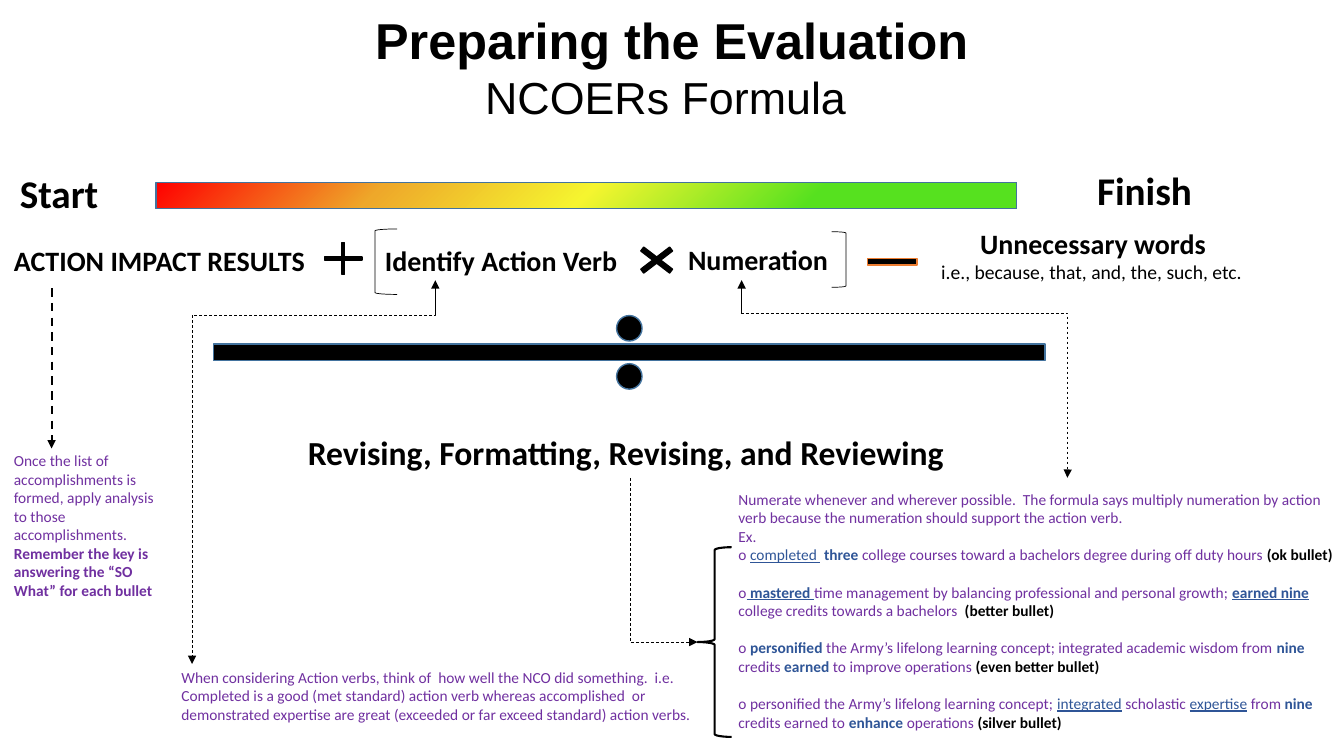
from collections import namedtuple

from lxml import etree
from pptx import Presentation
from pptx.dml.color import RGBColor
from pptx.enum import dml, shapes, text
from pptx.oxml import parse_xml
from pptx.oxml.ns import nsdecls, qn
from pptx.util import Cm, Pt

BLACK = RGBColor(0x00, 0x00, 0x00)
PURPLE = RGBColor(0x70, 0x30, 0xA0)
BLUE = RGBColor(0x2F, 0x55, 0x97)
STEEL = RGBColor(0x43, 0x73, 0x9E)
ORANGE = RGBColor(0xED, 0x7D, 0x31)
GREEN = RGBColor(0x56, 0xE1, 0x1F)
YELLOW = RGBColor(0xF5, 0xF5, 0x2F)
AMBER = RGBColor(0xEE, 0xA8, 0x2A)
RED = RGBColor(0xFF, 0x00, 0x00)

Box = namedtuple("Box", "left top width height")
Style = namedtuple("Style", "size color bold underline font", defaults=(BLACK, False, False, "Calibri"))

TERM = Style(20, bold=True)
MILESTONE = Style(28, bold=True)
NOTE = Style(11, PURPLE)
KEY = Style(11, PURPLE, True)
STRONG = Style(11, BLUE, True)
LINKED = Style(11, BLUE, underline=True)
STRONG_LINKED = Style(11, BLUE, True, True)
RATING = Style(11, bold=True)

CENTER = text.PP_ALIGN.CENTER
LEFT = text.PP_ALIGN.LEFT
PRESET = shapes.MSO_SHAPE

EXAMPLES = [
    [("o ", NOTE), ("completed ", LINKED), (" three ", STRONG),
     ("college courses toward a bachelors degree during off duty hours ", NOTE), ("(ok bullet)", RATING)],
    [("o", NOTE), (" mastered ", STRONG_LINKED),
     ("time management by balancing professional and personal growth; ", NOTE),
     ("earned nine ", STRONG_LINKED), ("college credits towards a bachelors  ", NOTE),
     ("(better bullet)", RATING)],
    [("o ", NOTE), ("personified", STRONG),
     (" the Army’s lifelong learning concept; integrated academic wisdom from ", NOTE),
     ("nine", STRONG), (" credits ", NOTE), ("earned", STRONG),
     (" to improve operations ", NOTE), ("(even better bullet)", RATING)],
    [("o personified the Army’s lifelong learning concept; ", NOTE), ("integrated", LINKED),
     (" scholastic ", NOTE), ("expertise", LINKED), (" from ", NOTE), ("nine ", STRONG),
     ("credits earned to ", NOTE), ("enhance", STRONG), (" operations ", NOTE),
     ("(silver bullet)", RATING)],
]


def inside(box, left, top, width, height):
    return Box(box.left + left, box.top + top, width, height)


def lengths(box):
    return [Cm(value) for value in box]


def add_text(slide, box, paragraphs, align=LEFT):
    frame = slide.shapes.add_textbox(*lengths(box)).text_frame
    frame.word_wrap = True
    frame.auto_size = text.MSO_AUTO_SIZE.SHAPE_TO_FIT_TEXT
    for index, runs in enumerate(paragraphs):
        paragraph = frame.add_paragraph() if index else frame.paragraphs[0]
        paragraph.alignment = align
        for words, style in runs:
            run = paragraph.add_run()
            run.text = words
            run.font.name = style.font
            run.font.size = Pt(style.size)
            run.font.bold = style.bold
            run.font.underline = style.underline
            run.font.color.rgb = style.color
    return frame


def add_preset(slide, box, preset, fill=BLACK, line=BLACK, weight=1, adjustments=()):
    shape = slide.shapes.add_shape(preset, *lengths(box))
    shape.shadow.inherit = False
    if fill is None:
        shape.fill.background()
    else:
        shape.fill.solid()
        shape.fill.fore_color.rgb = fill
    shape.line.color.rgb = line
    shape.line.width = Pt(weight)
    for index, value in enumerate(adjustments):
        shape.adjustments[index] = value
    return shape


def add_arrow(slide, box, kind=shapes.MSO_CONNECTOR.STRAIGHT, weight=0.5, dashed=True):
    left, top, width, height = lengths(box)
    connector = slide.shapes.add_connector(kind, left, top, left + width, top + height)
    connector.line.color.rgb = BLACK
    connector.line.width = Pt(weight)
    if dashed:
        connector.line.dash_style = dml.MSO_LINE.DASH
    properties = connector.line._get_or_add_ln()
    etree.SubElement(properties, qn("a:tailEnd"), type="triangle")
    etree.SubElement(connector._element.spPr, qn("a:effectLst"))
    return connector


def add_elbow(slide, box, preset, adjustment=None, **transform):
    connector = add_arrow(slide, box, shapes.MSO_CONNECTOR.ELBOW)
    properties = connector._element.spPr
    for name, value in transform.items():
        properties.find(qn("a:xfrm")).set(name, value)
    geometry = properties.find(qn("a:prstGeom"))
    geometry.set("prst", preset)
    if adjustment is not None:
        guides = geometry.find(qn("a:avLst"))
        if guides is None:
            guides = etree.SubElement(geometry, qn("a:avLst"))
        etree.SubElement(guides, qn("a:gd"), name="adj1", fmla=f"val {adjustment}")


def fill_radial(shape, stops):
    marks = "".join(
        f'<a:gs pos="{percent * 1000}"><a:srgbClr val="{color}"/></a:gs>' for percent, color in stops
    )
    gradient = parse_xml(
        f'<a:gradFill {nsdecls("a")} rotWithShape="1"><a:gsLst>{marks}</a:gsLst>'
        '<a:path path="circle"><a:fillToRect l="100000" t="100000"/></a:path>'
        '<a:tileRect r="-100000" b="-100000"/></a:gradFill>'
    )
    properties = shape._element.spPr
    properties.replace(properties.find(qn("a:solidFill")), gradient)


def add_header(slide, box):
    add_text(slide, box, [
        [("Preparing the Evaluation", Style(36, bold=True, font="Arial"))],
        [("NCOERs Formula ", Style(32, font="Arial"))],
    ], CENTER)


def add_progress(slide, box):
    add_text(slide, inside(box, 0, 0.08, 3.28, 1.45), [[("Start", MILESTONE)]])
    bar = add_preset(slide, inside(box, 3.68, 0.54, 21.69, 0.66), PRESET.RECTANGLE, line=STEEL)
    fill_radial(bar, [(24, GREEN), (50, YELLOW), (74, AMBER), (100, RED)])
    add_text(slide, inside(box, box.width - 3.28, 0, 3.28, 1.45), [[("Finish", MILESTONE)]])


def add_formula(slide, box):
    for words, left, top, width in [
        ("ACTION IMPACT RESULTS", 0, 0.43, 9.75),
        ("Identify Action Verb", 9.35, 0.43, 6.83),
        ("Numeration", 16.99, 0.4, 4.24),
    ]:
        add_text(slide, inside(box, left, top, width, 1.12), [[(words, TERM)]])
    add_preset(slide, inside(box, 7.9, 0.38, 1.3, 1.09), PRESET.MATH_PLUS, adjustments=[0.063])
    add_preset(slide, inside(box, 15.75, 0.43, 1.4, 1.07), PRESET.MATH_MULTIPLY, adjustments=[0.114])
    add_preset(slide, inside(box, 21.54, 0.68, 1.7, 0.66), PRESET.MATH_MINUS, line=ORANGE)
    add_preset(slide, inside(box, 9.35, 0.18, 0.56, 1.65), PRESET.LEFT_BRACKET, None, weight=0.5)
    add_preset(slide, inside(box, 20.86, 0.25, 0.36, 1.4), PRESET.RIGHT_BRACKET, None, weight=0.5)
    add_text(slide, inside(box, box.width - 9.27, 0, 9.27, 1.7), [
        [("Unnecessary words ", TERM)],
        [("i.e., because, that, and, the, such, etc.  ", Style(14))],
    ], CENTER)


def add_revision(slide, box):
    add_preset(slide, inside(box, 0, 0, box.width, 2.72), PRESET.MATH_DIVIDE, line=STEEL,
               adjustments=[0.152, 0.029, 0.118])
    add_text(slide, inside(box, 5.28, 3.25, 17.98, 1.27),
             [[("Revising, Formatting, Revising, and Reviewing ", Style(24, bold=True))]], CENTER)


def add_analysis_note(slide, box):
    add_arrow(slide, inside(box, 1.2, 0.2, 0, 4.04), weight=1.5)
    add_text(slide, inside(box, 0, 4.19, box.width, 4.01), [[
        ("Once the list of accomplishments is formed, apply analysis to those accomplishments. ", NOTE),
        ("Remember the key is answering the “SO What” for each bullet", KEY),
    ]])


def add_verb_note(slide, box):
    add_elbow(slide, inside(box, -0.84, 2.19, 8.84, 6.12), "bentConnector3", 600, rot="5400000")
    add_arrow(slide, inside(box, 6.65, 0.84, 0, -0.84), dashed=False)
    add_text(slide, inside(box, 0, 9.65, box.width, 1.68), [[(
        "When considering Action verbs, think of  how well the NCO did something.  i.e. "
        "Completed is a good (met standard) action verb whereas accomplished  or "
        "demonstrated expertise are great (exceeded or far exceed standard) action verbs.", NOTE)]])


def add_numeration_note(slide, box):
    add_elbow(slide, inside(box, 0.31, 0.84, 8.23, 4.14), "bentConnector3", 100100)
    add_arrow(slide, inside(box, 0.33, 0.84, 0, -0.84), dashed=False)
    frame = add_text(slide, inside(box, 0, 5.16, box.width, 6.38), [
        [("Numerate whenever and wherever possible.  The formula says multiply numeration by action "
          "verb because the numeration should support the action verb.", NOTE)],
        [("Ex.", NOTE)],
        *EXAMPLES,
    ])
    for paragraph in frame.paragraphs[3:]:
        paragraph.space_before = Pt(13.4)
    add_preset(slide, inside(box, -0.78, 6.73, 0.86, 4.78), PRESET.LEFT_BRACE, None, weight=1.5)
    add_elbow(slide, inside(box, -3.7, 6.2, 4.14, 1.7), "bentConnector2", rot="16200000", flipH="1")


def main():
    presentation = Presentation()
    presentation.slide_width = Cm(33.87)
    presentation.slide_height = Cm(19.05)
    slide = presentation.slides.add_slide(presentation.slide_layouts[6])
    add_header(slide, Box(0, 0.1, 33.87, 3.18))
    add_progress(slide, Box(0.25, 4.06, 30.43, 1.53))
    add_formula(slide, Box(0.1, 5.59, 32.16, 1.83))
    add_revision(slide, Box(1.6, 7.52, 28.52, 4.52))
    add_analysis_note(slide, Box(0.1, 7.06, 4.22, 8.2))
    add_verb_note(slide, Box(4.32, 7.06, 14.02, 11.33))
    add_numeration_note(slide, Box(18.36, 7.06, 15.52, 11.54))
    presentation.save("out.pptx")


if __name__ == "__main__":
    main()
